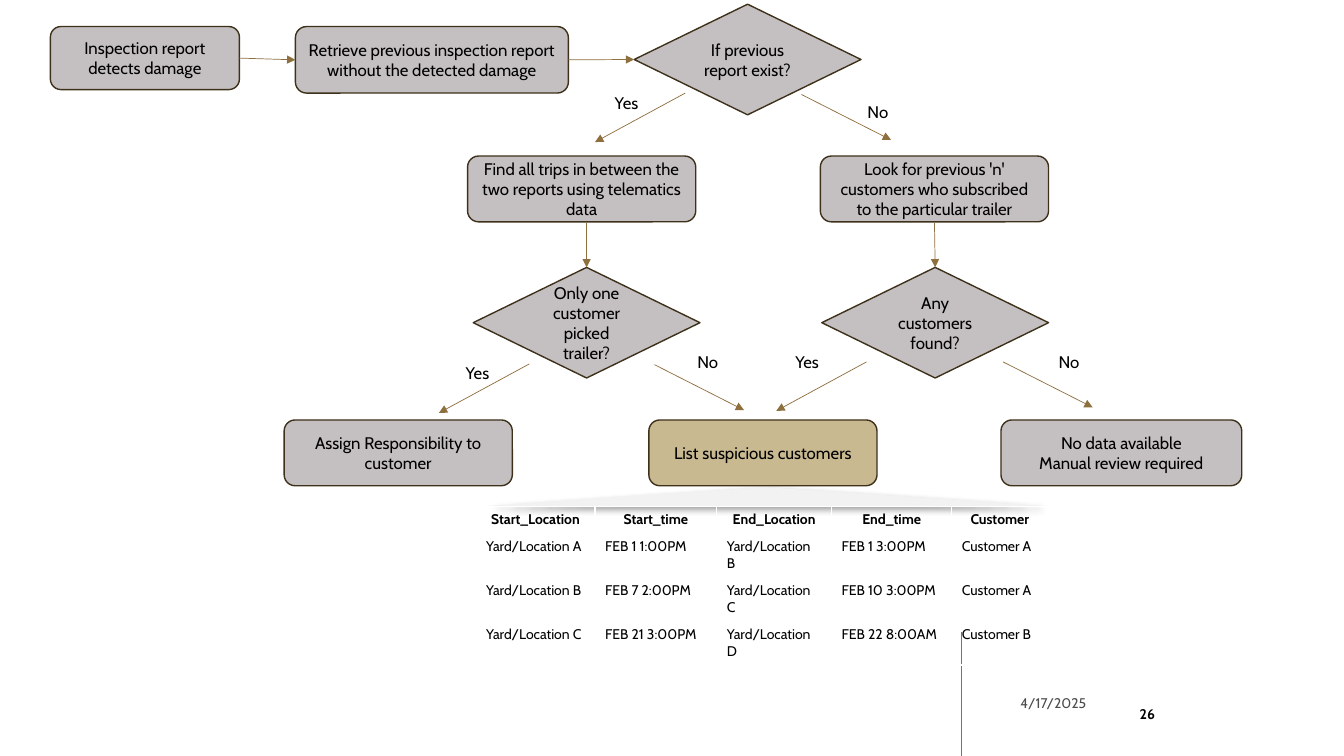
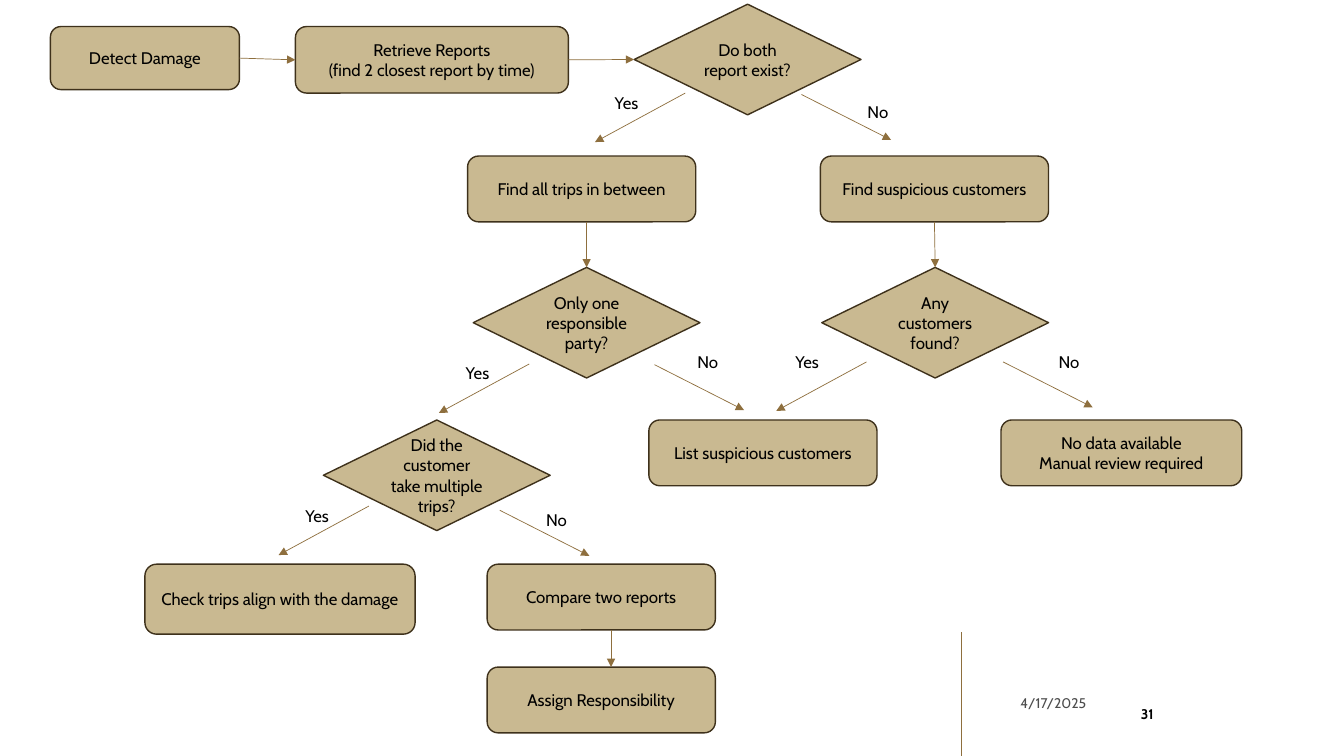
"""Build two flowchart slides on finding who is responsible for trailer damage."""
from dataclasses import dataclass

from lxml.etree import SubElement
from pptx import Presentation
from pptx.dml.color import RGBColor
from pptx.enum.shapes import MSO_CONNECTOR as Connector, MSO_SHAPE as Shape
from pptx.enum.text import MSO_ANCHOR as Anchor, PP_ALIGN as Align
from pptx.oxml.ns import qn
from pptx.util import Pt


@dataclass(frozen=True)
class Theme:
    font: str = "Cabin"
    body: int = 12
    small: int = 10
    text: RGBColor = RGBColor(0x00, 0x00, 0x00)
    date: RGBColor = RGBColor(0x4D, 0x4D, 0x4D)
    grey: RGBColor = RGBColor(0xC4, 0xBF, 0xC0)
    gold: RGBColor = RGBColor(0xC9, 0xB9, 0x91)
    outline: RGBColor = RGBColor(0x3E, 0x31, 0x1B)
    arrow: RGBColor = RGBColor(0x8E, 0x6F, 0x3E)
    callout: RGBColor = RGBColor(0xF3, 0xF2, 0xF2)


theme = Theme()


def write(holder, text, size=theme.body, align=Align.LEFT, color=theme.text, bold=False):
    frame = holder.text_frame
    frame.text = text
    frame.word_wrap = True
    for para in frame.paragraphs:
        para.alignment = align
        para.font.name = theme.font
        para.font.size = Pt(size)
        para.font.bold = bold
        para.font.color.rgb = color


def draw_line(page, left, top, right, bottom, width=0.5, arrow=True):
    line = page.shapes.add_connector(
        Connector.STRAIGHT, Pt(left), Pt(top), Pt(right), Pt(bottom))
    line.line.color.rgb = theme.arrow
    line.line.width = Pt(width)
    properties = line.element.spPr
    if arrow:
        SubElement(properties.find(qn("a:ln")), qn("a:tailEnd"), type="triangle")
    SubElement(properties, qn("a:effectLst"))
    return line


BOX, CHOICE = Shape.ROUNDED_RECTANGLE, Shape.DIAMOND
STEP, DIAMOND = (163, 47), (162, 79)
places = {
    "damage": (BOX, 36, 19, 135, 45),
    "retrieve": (BOX, 211, 19, 195, 47.5),
    "exist": (CHOICE, 453, 3, *DIAMOND),
    "trips": (BOX, 334, 111.5, *STEP),
    "previous": (BOX, 586, 111.5, *STEP),
    "single": (CHOICE, 338, 191, *DIAMOND),
    "found": (CHOICE, 587, 191, *DIAMOND),
    "customer": (BOX, 203, 300, *STEP),
    "suspicious": (BOX, 463.5, 300, *STEP),
    "manual": (BOX, 715, 300, 172, 47),
    "multiple": (CHOICE, 231, 300, *DIAMOND),
    "align": (BOX, 103.5, 403, 193, 50),
    "compare": (BOX, 348, 403, *STEP),
    "assign": (BOX, 348, 476.5, *STEP),
}
links = [("damage", 3, "retrieve", 1), ("retrieve", 3, "exist", 1), ("previous", 2, "found", 0)]
branch_steps = {"Yes": (-64.5, 35), "No": (64, 32.5)}
shared_branches = [
    ("Yes", 489.5, 66.5, 432, 62.5),
    ("No", 572.5, 67.5, 612.5, 69),
    ("Yes", 378, 260, 325.5, 255.5),
    ("No", 467.5, 260.5, 491, 247.5),
    ("Yes", 619, 258.5, 561, 247.5),
    ("No", 716.5, 258.5, 749, 247.5),
]
charts = [
    {
        "number": "26",
        "fill": theme.grey,
        "steps": {
            "damage": "Inspection report detects damage",
            "retrieve": "Retrieve previous inspection report without the detected damage",
            "exist": "If previous report exist?",
            "trips": "Find all trips in between the two reports using telematics data",
            "previous": "Look for previous 'n' customers who subscribed to the particular trailer",
            "single": "Only one customer picked trailer?",
            "found": "Any customers found?",
            "customer": "Assign Responsibility to customer",
            "suspicious": "List suspicious customers",
            "manual": "No data available\nManual review required",
        },
        "branches": [],
    },
    {
        "number": "31",
        "fill": theme.gold,
        "steps": {
            "damage": "Detect Damage",
            "retrieve": "Retrieve Reports\n(find 2 closest report by time)",
            "exist": "Do both report exist?",
            "trips": "Find all trips in between",
            "previous": "Find suspicious customers",
            "single": "Only one responsible party?",
            "found": "Any customers found?",
            "suspicious": "List suspicious customers",
            "manual": "No data available\nManual review required",
            "multiple": "Did the customer take multiple trips?",
            "align": "Check trips align with the damage",
            "compare": "Compare two reports",
            "assign": "Assign Responsibility",
        },
        "branches": [("Yes", 263.5, 361.5, 211, 358), ("No", 357, 364.5, 383, 360.5)],
    },
]
trip_rows = [
    ("Start_Location", "Start_time", "End_Location", "End_time", "Customer"),
    ("Yard/Location A", "FEB 1 1:00PM", "Yard/Location B", "FEB 1 3:00PM", "Customer A"),
    ("Yard/Location B", "FEB 7 2:00PM", "Yard/Location C", "FEB 10 3:00PM", "Customer A"),
    ("Yard/Location C", "FEB 21 3:00PM", "Yard/Location D", "FEB 22 8:00AM", "Customer B"),
]
column_widths = (85, 87, 82, 86, 68.5)
row_heights = (19, 19.5, 31.5, 31.5)

deck = Presentation()
deck.slide_width, deck.slide_height = Pt(960), Pt(540)
layout = deck.slide_layouts[6]
pages = [deck.slides.add_slide(layout) for chart in charts]
footer_rule = draw_line(pages[0], 687, 451.5, 687, 540, width=1, arrow=False)
layout.shapes.element.append(footer_rule.element)

callout = pages[0].shapes.add_shape(
    Shape.ISOSCELES_TRIANGLE, Pt(345.5), Pt(348), Pt(402.5), Pt(13.5))
callout.fill.solid()
callout.fill.fore_color.rgb = theme.callout
callout.line.fill.background()
callout.shadow.inherit = False
shadow = SubElement(callout.element.spPr.find(qn("a:effectLst")), qn("a:outerShdw"),
                    blurRad=str(Pt(5)), dist=str(Pt(3)), dir="2700000")
shadow_color = SubElement(shadow, qn("a:srgbClr"), val=str(theme.text))
SubElement(shadow_color, qn("a:alpha"), val="40000")

for page, chart in zip(pages, charts):
    date = page.shapes.add_textbox(Pt(702.5), Pt(489.5), Pt(80.5), Pt(25))
    date.text_frame.vertical_anchor = Anchor.MIDDLE
    write(date, "4/17/2025", theme.small, Align.RIGHT, theme.date)

    badge = page.shapes.add_shape(Shape.OVAL, Pt(800.5), Pt(495.5), Pt(38), Pt(29))
    badge.fill.background()
    badge.line.fill.background()
    badge.shadow.inherit = False
    badge.text_frame.margin_left = badge.text_frame.margin_right = Pt(1.5)
    badge.text_frame.vertical_anchor = Anchor.MIDDLE
    write(badge, chart["number"], theme.small, Align.CENTER, bold=True)

    nodes = {}
    for name, text in chart["steps"].items():
        kind, *bounds = places[name]
        node = page.shapes.add_shape(kind, *map(Pt, bounds))
        node.shadow.inherit = False
        node.fill.solid()
        node.fill.fore_color.rgb = theme.gold if name == "suspicious" else chart["fill"]
        node.line.color.rgb = theme.outline
        node.line.width = Pt(1)
        node.text_frame.vertical_anchor = Anchor.MIDDLE
        write(node, text, align=Align.CENTER)
        nodes[name] = node

    for source, source_side, target, target_side in links:
        link = draw_line(page, 0, 0, 0, 0)
        link.begin_connect(nodes[source], source_side)
        link.end_connect(nodes[target], target_side)
    trips_link = draw_line(page, 419, 158.5, 419, 191)
    trips_link.end_connect(nodes["single"], 0)
    if "assign" in nodes:
        draw_line(page, 436.5, 450, 436.5, 476.5)

    for answer, left, top, label_left, label_top in shared_branches + chart["branches"]:
        across, down = branch_steps[answer]
        draw_line(page, left, top, left + across, top + down)
        label = page.shapes.add_textbox(Pt(label_left), Pt(label_top), Pt(40), Pt(21.5))
        write(label, answer)

table = pages[0].shapes.add_table(
    len(trip_rows), len(column_widths), Pt(340), Pt(361.5),
    Pt(sum(column_widths)), Pt(sum(row_heights))).table
for column, width in zip(table.columns, column_widths):
    column.width = Pt(width)
for row, height, texts in zip(table.rows, row_heights, trip_rows):
    row.height = Pt(height)
    header = texts is trip_rows[0]
    for cell, text in zip(row.cells, texts):
        cell.fill.background()
        write(cell, text, theme.small, Align.CENTER if header else Align.LEFT, bold=header)

deck.save("out.pptx")
